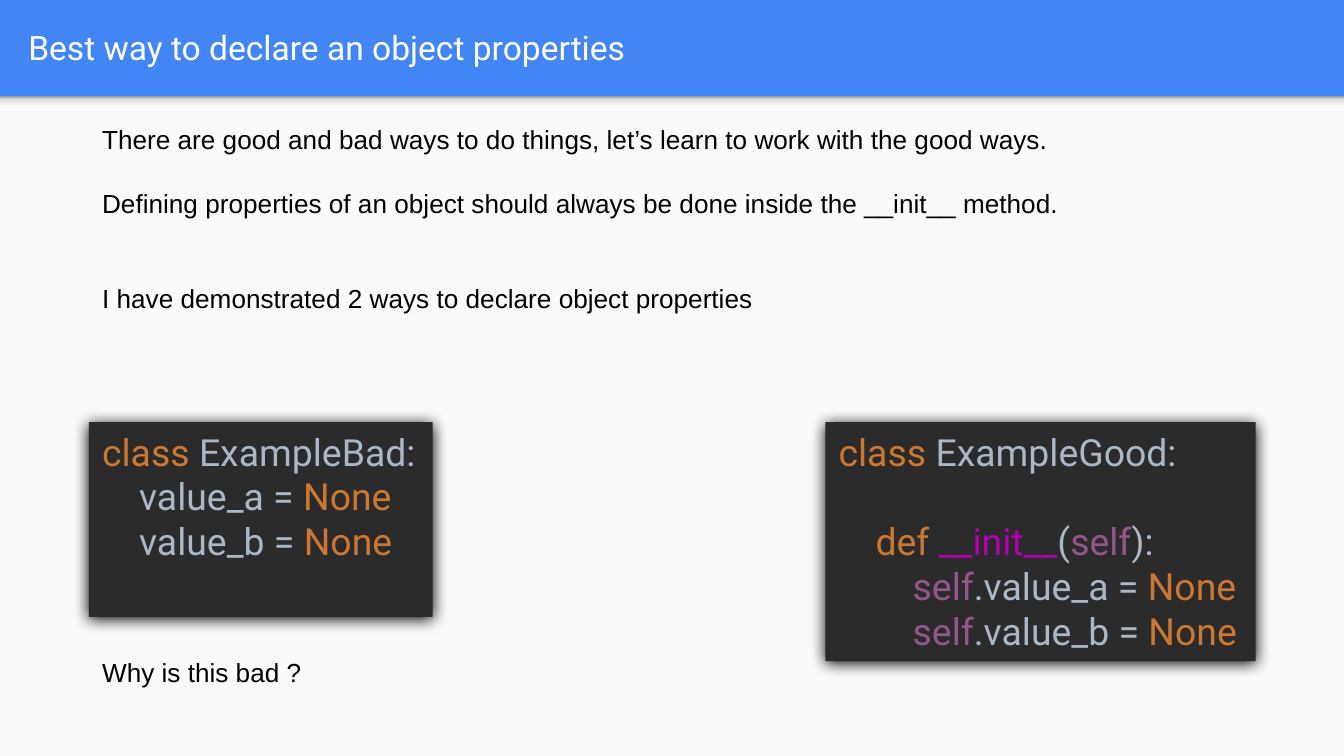
from copy import deepcopy
from lxml.etree import SubElement
from pptx import Presentation
from pptx.dml.color import RGBColor
from pptx.enum.shapes import MSO_SHAPE as Shape
from pptx.enum.text import MSO_ANCHOR as Anchor, PP_ALIGN as Align
from pptx.oxml.ns import qn
from pptx.util import Cm, Pt


def color(value):
    return RGBColor.from_string(value)


def add_span(para, text, font, size, hue):
    span = para.add_run()
    span.text = text
    span.font.name = font
    span.font.size = Pt(size)
    span.font.color.rgb = color(hue)


deck = Presentation()
deck.slide_width, deck.slide_height = Cm(25.4), Cm(14.29)
page = deck.slides.add_slide(deck.slide_layouts[5])
page.background.fill.solid()
page.background.fill.fore_color.rgb = color("4285F4")

panel = page.shapes.add_shape(Shape.RECTANGLE, 0, Cm(1.82), Cm(25.4), Cm(12.47))
panel.fill.solid()
panel.fill.fore_color.rgb = color("FAFAFA")
strip = page.shapes.add_shape(Shape.RECTANGLE, 0, Cm(1.82), Cm(25.4), Cm(0.3))
strip.fill.gradient()
strip.fill.gradient_angle = 90
stop_list = strip._element.spPr.find(".//" + qn("a:gsLst"))
for _ in range(2):
    stop_list.append(deepcopy(stop_list[0]))
stops = [(0, "F9F9F9"), (0.36, "F9F9F9"), (0.8, "DEDEDE"), (1, "999999")]
for stop, (position, hue) in zip(strip.fill.gradient_stops, stops):
    stop.position = position
    stop.color.rgb = color(hue)
for band in (panel, strip):
    band.line.fill.background()
    band.shadow.inherit = False

title = page.shapes.title
title.left, title.top, title.width, title.height = Cm(0.28), Cm(0.05), Cm(24.51), Cm(1.68)
title.text_frame.vertical_anchor = Anchor.MIDDLE
title.text_frame.word_wrap = True
title_para = title.text_frame.paragraphs[0]
title_para.alignment = Align.LEFT
add_span(title_para, "Best way to declare an object properties", "Roboto", 18, "FFFFFF")

notes = [
    (2.21, 22.07, 3.84, [
        (0, "There are good and bad ways to do things, let’s learn to work with the good ways."),
        (17.5, "Defining properties of an object should always be done inside the __init__ method."),
        (34, "I have demonstrated 2 ways to declare object properties"),
    ]),
    (12.29, 8.53, 0.86, [(0, "Why is this bad ?")]),
]
for top, width, height, lines in notes:
    box = page.shapes.add_textbox(Cm(1.68), Cm(top), Cm(width), Cm(height))
    box.text_frame.word_wrap = True
    for index, (gap, text) in enumerate(lines):
        para = box.text_frame.paragraphs[0] if index == 0 else box.text_frame.add_paragraph()
        para.space_before = Pt(gap)
        add_span(para, text, "Arial", 14, "000000")

KEYWORD, PLAIN, MAGIC, SELF = "CC7832", "A9B7C6", "B200B2", "94558D"
bad_code = [
    (0, 0, [("class ", KEYWORD), ("ExampleBad:", PLAIN)]),
    (1, 0, [("value_a = ", PLAIN), ("None", KEYWORD)]),
    (1, 0, [("value_b = ", PLAIN), ("None", KEYWORD)]),
]
good_code = [
    (0, 0, [("class ", KEYWORD), ("ExampleGood:", PLAIN)]),
    (1, 24, [("def ", KEYWORD), ("__init__", MAGIC), ("(", PLAIN), ("self", SELF), ("):", PLAIN)]),
    (2, 0, [("self", SELF), (".value_a = ", PLAIN), ("None", KEYWORD)]),
    (2, 0, [("self", SELF), (".value_b = ", PLAIN), ("None", KEYWORD)]),
]
for left, width, height, code in [(1.68, 6.5, 3.68, bad_code), (15.6, 8.13, 4.52, good_code)]:
    box = page.shapes.add_shape(Shape.RECTANGLE, Cm(left), Cm(7.98), Cm(width), Cm(height))
    box.fill.solid()
    box.fill.fore_color.rgb = color("2B2B2B")
    box.line.fill.background()
    box.shadow.inherit = False
    effects = box._element.spPr.find(qn("a:effectLst"))
    shadow = SubElement(effects, qn("a:outerShdw"), blurRad=str(Pt(8.5)), dist=str(Pt(1)),
                        dir="5400000", algn="ctr", rotWithShape="0")
    SubElement(shadow, qn("a:srgbClr"), val="000000")
    frame = box.text_frame
    frame.word_wrap = True
    frame.vertical_anchor = Anchor.TOP
    frame.margin_right = 0
    for index, (level, gap, spans) in enumerate(code):
        para = frame.paragraphs[0] if index == 0 else frame.add_paragraph()
        para.alignment = Align.LEFT
        para.space_before = Pt(gap)
        para._p.get_or_add_pPr().set("marL", str(Cm(0.7 * level)))
        for text, hue in spans:
            add_span(para, text, "Roboto", 20, hue)

deck.save("out.pptx")
